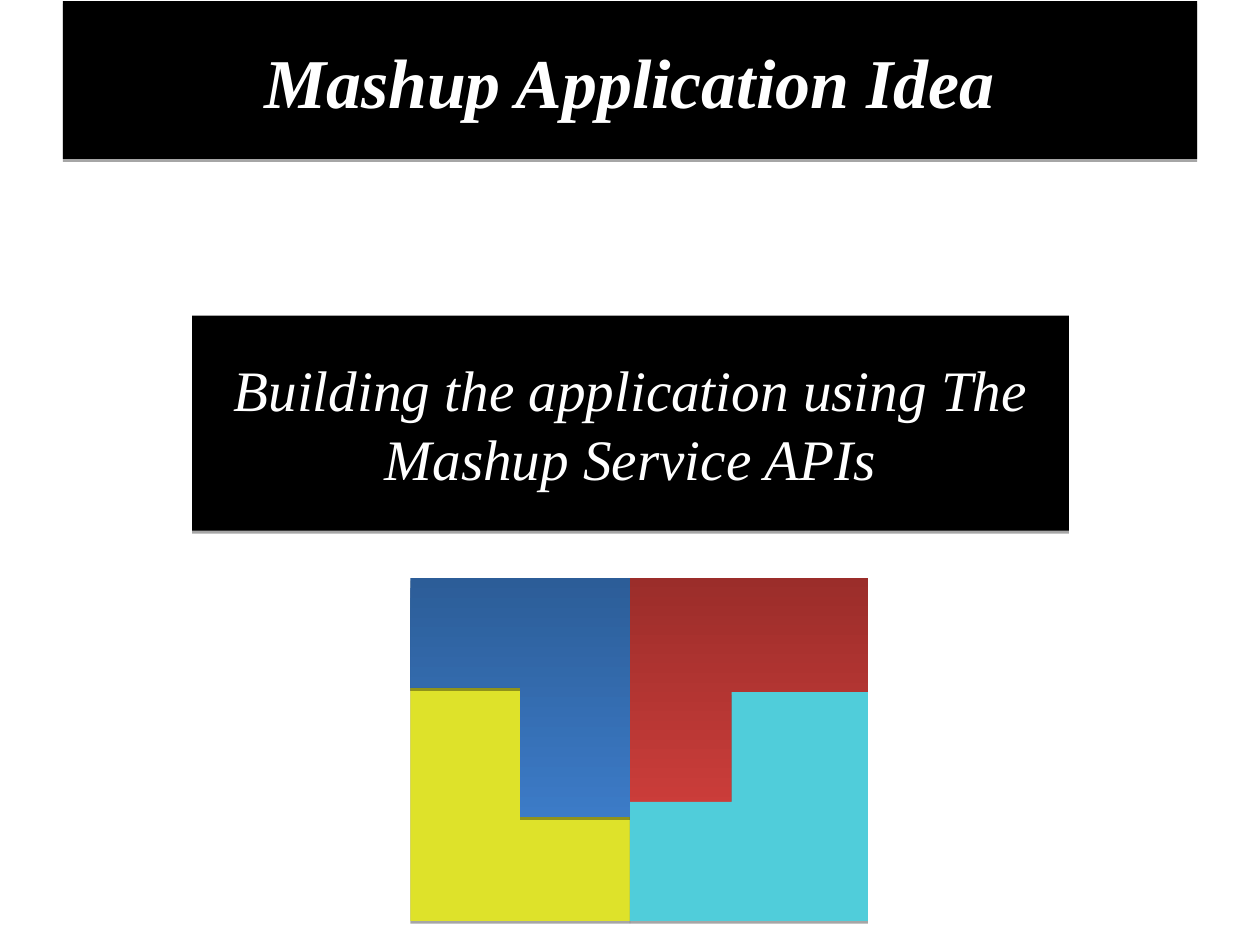
from lxml.etree import SubElement
from pptx import Presentation
from pptx.dml.color import RGBColor
from pptx.enum.shapes import MSO_SHAPE
from pptx.enum.text import MSO_ANCHOR, PP_ALIGN
from pptx.oxml.ns import qn
from pptx.util import Inches, Pt

BLACK = RGBColor(0x00, 0x00, 0x00)
WHITE = RGBColor(0xFF, 0xFF, 0xFF)
YELLOW = RGBColor(0xDE, 0xE2, 0x2A)
CYAN = RGBColor(0x50, 0xCD, 0xDA)
DARK_RED = RGBColor(0x9B, 0x2D, 0x2A)
RED = RGBColor(0xCB, 0x3D, 0x3A)
DARK_BLUE = RGBColor(0x2C, 0x5D, 0x98)
BLUE = RGBColor(0x3C, 0x7B, 0xC7)

# Outer edges of the puzzle and the seam between its halves
LEFT, SEAM, RIGHT = 3.59, 5.51, 7.59
TOP, BOTTOM = 5.05, 8.05
NOTCH = 4.55


class SlideBuilder:
    font_name = "Times New Roman"

    def __init__(self, slide):
        self.slide = slide

    def finish(self, shape, colors):
        """Fill with one colour or a top-to-bottom gradient, and cast a shadow below."""
        if len(colors) == 1:
            shape.fill.solid()
            shape.fill.fore_color.rgb = colors[0]
        else:
            shape.fill.gradient()
            shape.fill.gradient_angle = 270
            for position, (stop, color) in enumerate(zip(shape.fill.gradient_stops, colors)):
                stop.position = position
                stop.color.rgb = color
        shape.line.fill.background()
        shape.shadow.inherit = False
        effects = shape._element.spPr.find(qn("a:effectLst"))
        shadow = SubElement(effects, qn("a:outerShdw"), blurRad="0", dist=str(Pt(1.8)),
                            dir="5400000", rotWithShape="0")
        shadow_color = SubElement(shadow, qn("a:srgbClr"), val=str(BLACK))
        SubElement(shadow_color, qn("a:alpha"), val="35000")

    def banner(self, text, left, top, width, height, size, bold=False):
        shape = self.slide.shapes.add_shape(
            MSO_SHAPE.RECTANGLE, Inches(left), Inches(top), Inches(width), Inches(height))
        self.finish(shape, [BLACK])
        frame = shape.text_frame
        frame.word_wrap = True
        frame.vertical_anchor = MSO_ANCHOR.MIDDLE
        paragraph = frame.paragraphs[0]
        paragraph.alignment = PP_ALIGN.CENTER
        run = paragraph.add_run()
        run.text = text
        run.font.name = self.font_name
        run.font.size = Pt(size)
        run.font.bold = bold
        run.font.italic = True
        run.font.color.rgb = WHITE

    def puzzle_piece(self, points, *colors):
        corners = [(Inches(x), Inches(y)) for x, y in points]
        builder = self.slide.shapes.build_freeform(*corners[0])
        builder.add_line_segments(corners[1:], close=True)
        self.finish(builder.convert_to_shape(), colors)


def main():
    presentation = Presentation()
    presentation.slide_width = Inches(11.02)
    presentation.slide_height = Inches(8.27)
    slide = presentation.slides.add_slide(presentation.slide_layouts[6])
    builder = SlideBuilder(slide)

    builder.banner("Mashup Application Idea", 0.55, 0.01, 9.92, 1.38, 44, bold=True)
    builder.banner("Building the application using The Mashup Service APIs",
                   1.68, 2.76, 7.67, 1.88, 36)

    builder.puzzle_piece([(LEFT, 5.97), (NOTCH, 5.97), (NOTCH, 7.09), (SEAM, 7.09),
                          (SEAM, BOTTOM), (LEFT, BOTTOM)], YELLOW)
    builder.puzzle_piece([(RIGHT, TOP), (RIGHT, 6.05), (6.51, 6.05), (6.51, 7.05),
                          (SEAM, 7.05), (SEAM, TOP)], DARK_RED, RED)
    builder.puzzle_piece([(SEAM, BOTTOM), (SEAM, 7.01), (6.4, 7.01), (6.4, 6.05),
                          (RIGHT, 6.05), (RIGHT, BOTTOM)], CYAN)
    builder.puzzle_piece([(SEAM, 7.14), (NOTCH, 7.14), (NOTCH, 6.01), (LEFT, 6.01),
                          (LEFT, TOP), (SEAM, TOP)], DARK_BLUE, BLUE)

    presentation.save("out.pptx")


if __name__ == "__main__":
    main()
